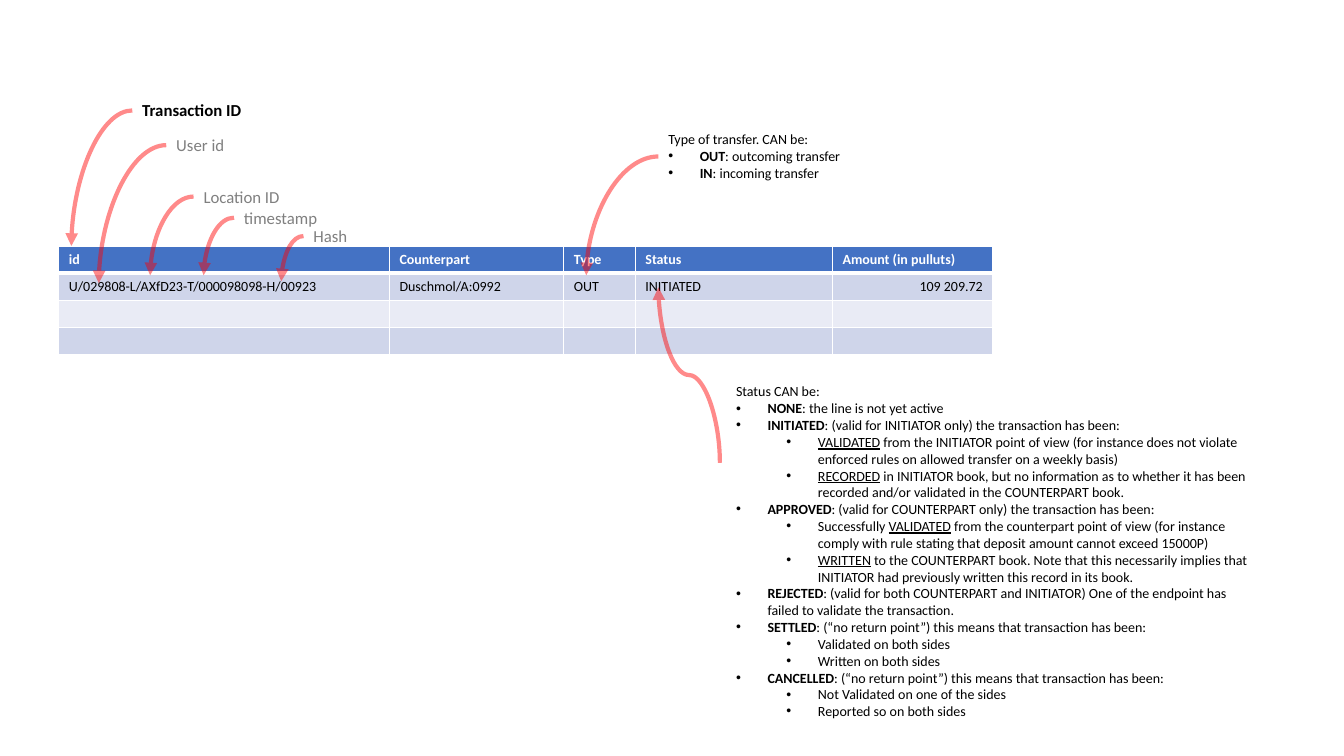
from dataclasses import dataclass

from lxml import etree
from pptx import Presentation
from pptx.dml.color import RGBColor
from pptx.enum.shapes import MSO_CONNECTOR
from pptx.enum.text import MSO_AUTO_SIZE, PP_ALIGN
from pptx.oxml.ns import qn
from pptx.util import Pt

CURVE = MSO_CONNECTOR.CURVE
FIT = MSO_AUTO_SIZE.SHAPE_TO_FIT_TEXT
LEFT, RIGHT = PP_ALIGN.LEFT, PP_ALIGN.RIGHT


@dataclass(frozen=True)
class Theme:
    font: str = "Calibri"
    label: int = 12
    body: int = 10
    black: str = "000000"
    gray: str = "808080"
    white: str = "FFFFFF"
    head: str = "4472C4"
    bands: tuple = ("CFD5EA", "E9EBF5")
    arrow: str = "FF0000"
    alpha: int = 46000
    weight: int = 3
    step: float = 22.5    # bullet indent
    nest: float = 36      # extra indent per level


def add_sub(parent, tag, **attrs):
    return etree.SubElement(parent, qn(tag), **attrs)


class Board:
    def __init__(self, slide, theme):
        self.slide, self.theme = slide, theme

    def style(self, para, size, color, bold=False):
        font = para.font
        font.name, font.size, font.bold = self.theme.font, Pt(size), bold
        font.color.rgb = RGBColor.from_string(color)

    def box(self, left, top, width, height, wrap=False):
        shape = self.slide.shapes.add_textbox(Pt(left), Pt(top), Pt(width), Pt(height))
        frame = shape.text_frame
        frame.word_wrap, frame.auto_size = wrap, FIT
        return frame

    def label(self, text, left, top, width, height, color, bold):
        para = self.box(left, top, width, height).paragraphs[0]
        para.text = text
        self.style(para, self.theme.label, color, bold)

    def note(self, lines, left, top, width, height, wrap=False):
        """Depth 0 is plain; stars mark bold at depth 1, underline at depth 2."""
        frame = self.box(left, top, width, height, wrap)
        for index, (depth, text) in enumerate(lines):
            para = frame.add_paragraph() if index else frame.paragraphs[0]
            self.style(para, self.theme.body, self.theme.black)
            if depth:
                self.bullet(para, depth - 1)
            for turn, part in enumerate(text.split("*")):
                if not part:
                    continue
                run = para.add_run()
                run.text = part
                if turn % 2 and depth == 1:
                    run.font.bold = True
                elif turn % 2:
                    run.font.underline = True

    def bullet(self, para, level):
        para.level = level
        props = para._p.get_or_add_pPr()
        step = Pt(self.theme.step)
        props.set("marL", str(step + level * Pt(self.theme.nest)))
        props.set("indent", str(-step))
        mark = etree.Element(qn("a:buChar"), char="•")
        face = etree.Element(qn("a:buFont"), typeface="Arial")
        props.insert(0, mark)
        props.insert(0, face)

    def arrow(self, start, end, preset="curvedConnector2", turn=0):
        ends = [Pt(value) for value in (*start, *end)]
        link = self.slide.shapes.add_connector(CURVE, *ends)
        link.line.width = Pt(self.theme.weight)
        link.line.color.rgb = RGBColor.from_string(self.theme.arrow)
        props = link._element.spPr
        props.find(qn("a:prstGeom")).set("prst", preset)
        if turn:
            props.find(qn("a:xfrm")).set("rot", str(turn * 60000))
        line = props.find(qn("a:ln"))
        add_sub(line.find(".//" + qn("a:srgbClr")), "a:alpha", val=str(self.theme.alpha))
        add_sub(line, "a:tailEnd", type="triangle")
        add_sub(props, "a:effectLst")

    def border(self, cell, row):
        props = cell._tc.get_or_add_tcPr()
        widths = {"L": 1, "R": 1, "T": 3 if row == 1 else 1, "B": 1 if row else 3}
        for side, width in widths.items():
            line = add_sub(props, "a:ln" + side, w=str(Pt(width)))
            fill = add_sub(line, "a:solidFill")
            add_sub(fill, "a:srgbClr", val=self.theme.white)

    def table(self, rows, widths, left, top, height):
        theme = self.theme
        frame = self.slide.shapes.add_table(
            len(rows), len(widths), Pt(left), Pt(top), Pt(sum(widths)), Pt(height))
        grid = frame.table
        for col, width in zip(grid.columns, widths):
            col.width = Pt(width)
        for r, texts in enumerate(rows):
            for c, text in enumerate(texts):
                cell = grid.cell(r, c)
                self.border(cell, r)
                cell.fill.solid()
                fill = theme.bands[(r - 1) % 2] if r else theme.head
                cell.fill.fore_color.rgb = RGBColor.from_string(fill)
                para = cell.text_frame.paragraphs[0]
                para.alignment = RIGHT if r and c == len(widths) - 1 else LEFT
                self.style(para, theme.body, theme.black if r else theme.white, not r)
                if text:
                    para.text = text
                else:
                    add_sub(para._p, "a:endParaRPr", sz=str(theme.body * 100))


ROWS = [
    ["id", "Counterpart", "Type", "Status", "Amount (in pulluts)"],
    ["U/029808-L/AXfD23-T/000098098-H/00923", "Duschmol/A:0992", "OUT",
     "INITIATED", "109 209.72"],
    [""] * 5,
    [""] * 5,
]
WIDTHS = [236.2, 124.6, 51.1, 140.8, 114.5]

# Text, left, top, width, arrow tip
LABELS = [
    ("Transaction ID", 94.5, 68, 86.4, (51, 175.7)),
    ("User id", 118.8, 92.8, 49, (70.6, 202.3)),
    ("Location ID", 138.3, 129.5, 69.8, (107.3, 196.6)),
    ("timestamp", 167.2, 144.6, 67.7, (145.5, 196.6)),
    ("Hash", 216.8, 157.7, 38.9, (200.9, 200.9)),
]
LABEL_H = 21.8

TYPES = [
    (0, "Type of transfer. CAN be:"),
    (1, "*OUT*: outcoming transfer"),
    (1, "*IN*: incoming transfer"),
]
STATES = [
    (0, "Status CAN be:"),
    (1, "*NONE*: the line is not yet active"),
    (1, "*INITIATED*: (valid for INITIATOR only) the transaction has been:"),
    (2, "*VALIDATED* from the INITIATOR point of view (for instance does not "
        "violate enforced rules on allowed transfer on a weekly basis)"),
    (2, "*RECORDED* in INITIATOR book, but no information as to whether it has "
        "been recorded and/or validated in the COUNTERPART book."),
    (1, "*APPROVED*: (valid for COUNTERPART only) the transaction has been:"),
    (2, "Successfully *VALIDATED* from the counterpart point of view (for instance "
        "comply with rule stating that deposit amount cannot exceed 15000P)"),
    (2, "*WRITTEN* to the COUNTERPART book. Note that this necessarily implies "
        "that INITIATOR had previously written this record in its book."),
    (1, "*REJECTED*: (valid for both COUNTERPART and INITIATOR) One of the "
        "endpoint has failed to validate the transaction."),
    (1, "*SETTLED*: (“no return point”) this means that transaction has been:"),
    (2, "Validated on both sides"),
    (2, "Written on both sides"),
    (1, "*CANCELLED*: (“no return point”) this means that transaction has been:"),
    (2, "Not Validated on one of the sides"),
    (2, "Reported so on both sides"),
]


def main():
    deck = Presentation()
    deck.slide_width, deck.slide_height = Pt(960), Pt(540)
    theme = Theme()
    board = Board(deck.slides.add_slide(deck.slide_layouts[6]), theme)

    # Transaction table
    board.table(ROWS, WIDTHS, 42, 175.7, 77)

    # Parts of the transaction id
    for index, (text, left, top, width, tip) in enumerate(LABELS):
        color = theme.gray if index else theme.black
        board.label(text, left, top, width, LABEL_H, color, not index)
        board.arrow((left, top + LABEL_H / 2), tip)

    # Transfer type
    board.arrow((470.3, 111.8), (418.8, 196.6))
    board.note(TYPES, 470.3, 89.8, 139, 44)

    # Status: the curve is laid flat, then turned upright
    board.arrow((429.6, 289.9), (554.9, 246), "curvedConnector3", 270)
    board.note(STATES, 518.7, 270, 380, 250, wrap=True)

    deck.save("out.pptx")


if __name__ == "__main__":
    main()
